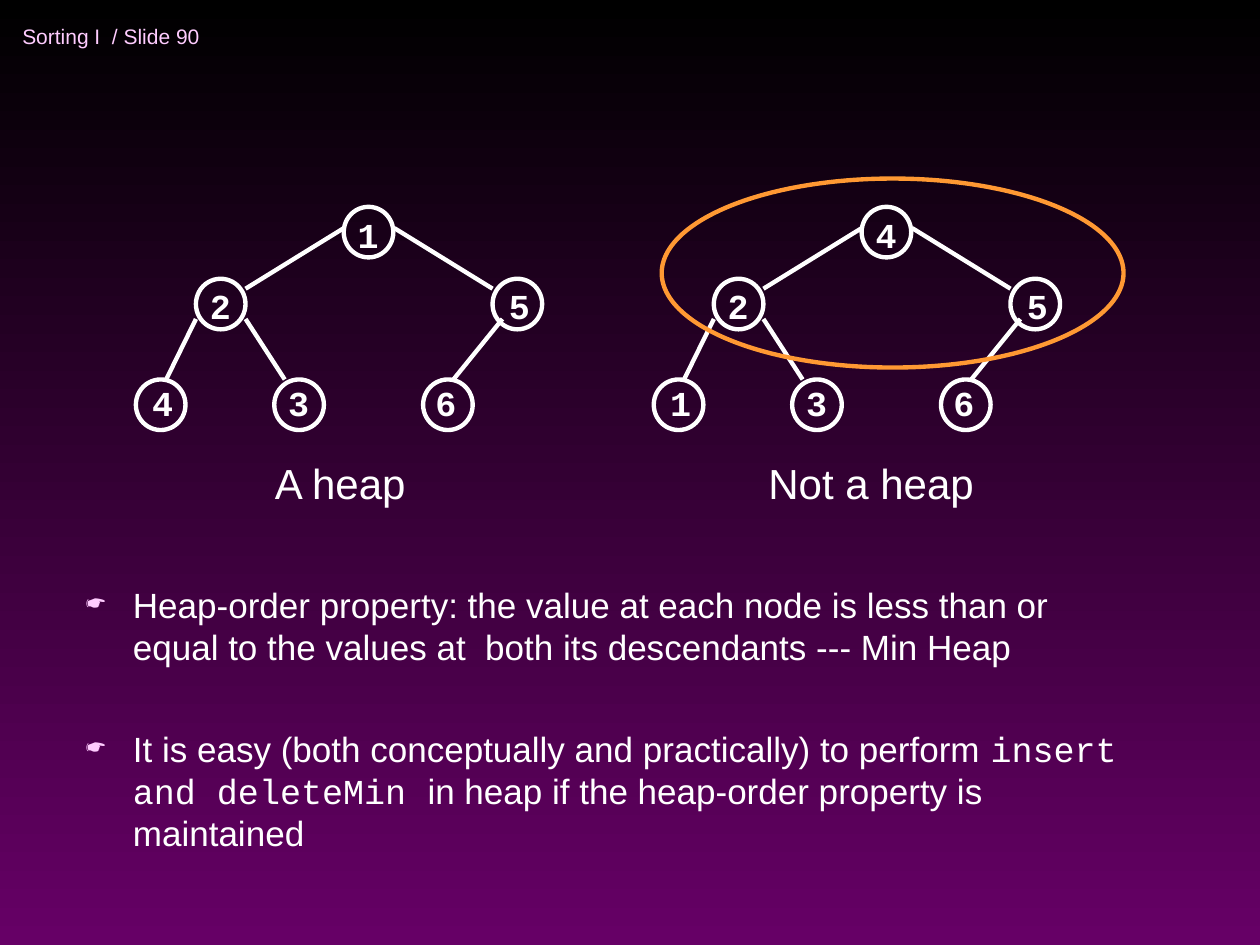
from dataclasses import dataclass

from lxml.etree import SubElement
from pptx import Presentation
from pptx.dml.color import RGBColor
from pptx.enum.shapes import MSO_CONNECTOR as Link, MSO_SHAPE as Shape
from pptx.enum.text import MSO_ANCHOR as Anchor, MSO_AUTO_SIZE as AutoSize
from pptx.oxml.ns import qn
from pptx.util import Cm, Pt

COLORS = {
    "white": "FFFFFF",
    "pink": "FFCCFF",
    "orange": "FF9933",
    "top": "000000",
    "bottom": "660066",
}
SANS = "Arial"
MONO = "Courier New"
NODE_WIDTH, NODE_HEIGHT = 1.0, 1.02
LINE_WIDTH = Pt(2.5)


@dataclass(frozen=True)
class Node:
    x: float
    y: float
    label_dx: float
    label_dy: float


@dataclass(frozen=True)
class Edge:
    x1: float
    y1: float
    x2: float
    y2: float


@dataclass(frozen=True)
class Tree:
    left: float
    values: str
    caption: str
    caption_left: float
    caption_width: float


@dataclass(frozen=True)
class Span:
    text: str
    font: str = SANS


TREE_TOP = 4.17
NODES = [
    Node(4.19, 0, 0.03, 0),
    Node(1.21, 1.45, 0.03, 0),
    Node(7.19, 1.45, 0.08, 0),
    Node(0, 3.48, 0.08, -0.08),
    Node(2.79, 3.48, 0.03, -0.08),
    Node(5.79, 3.48, 0, -0.08),
]
EDGES = [
    Edge(4.19, 0.43, 2.21, 1.65),
    Edge(5.21, 0.43, 7.19, 1.65),
    Edge(1.21, 2.26, 0.61, 3.48),
    Edge(2.21, 2.26, 3.0, 3.48),
    Edge(7.39, 2.26, 6.4, 3.48),
]
TREES = [
    Tree(2.74, "125436", "A heap", 5.29, 3.39),
    Tree(13.18, "425136", "Not a heap", 15.24, 5.5),
]
BULLETS = [
    [Span("Heap-order property: the value at each node is less than or equal "
          "to the values at  both its descendants --- Min Heap")],
    [
        Span("It is easy (both conceptually and practically) to perform "),
        Span("insert and deleteMin ", MONO),
        Span("in heap if the heap-order property is maintained"),
    ],
]


def rgb(name: str) -> RGBColor:
    return RGBColor.from_string(COLORS[name])


def add_box(page, left: float, top: float, width: float, height: float):
    box = page.shapes.add_textbox(Cm(left), Cm(top), Cm(width), Cm(height))
    box.text_frame.word_wrap = True
    return box.text_frame


def add_span(para, span: Span, size: float, color: str = "white", bold: bool = False) -> None:
    run = para.add_run()
    run.text = span.text
    run.font.name = span.font
    run.font.size = Pt(size)
    run.font.bold = bold
    run.font.color.rgb = rgb(color)


def add_ring(page, left: float, top: float, width: float, height: float, color: str) -> None:
    ring = page.shapes.add_shape(Shape.OVAL, Cm(left), Cm(top), Cm(width), Cm(height))
    ring.shadow.inherit = False
    ring.fill.background()
    ring.line.color.rgb = rgb(color)
    ring.line.width = LINE_WIDTH


def add_edge(page, left: float, edge: Edge) -> None:
    line = page.shapes.add_connector(
        Link.STRAIGHT,
        Cm(left + edge.x1), Cm(TREE_TOP + edge.y1),
        Cm(left + edge.x2), Cm(TREE_TOP + edge.y2),
    )
    line.line.color.rgb = rgb("white")
    line.line.width = LINE_WIDTH
    SubElement(line._element.spPr, qn("a:effectLst"))


def add_label(page, left: float, node: Node, value: str) -> None:
    frame = add_box(page, left + node.x + node.label_dx,
                    TREE_TOP + node.y + node.label_dy, 0.93, 1.11)
    frame.word_wrap = False
    frame.auto_size = AutoSize.SHAPE_TO_FIT_TEXT
    add_span(frame.paragraphs[0], Span(value, MONO), 20, bold=True)


def add_tree(page, tree: Tree) -> None:
    caption = add_box(page, tree.caption_left, 9.1, tree.caption_width, 1.28)
    add_span(caption.paragraphs[0], Span(tree.caption), 24)
    for node in NODES:
        add_ring(page, tree.left + node.x, TREE_TOP + node.y,
                 NODE_WIDTH, NODE_HEIGHT, "white")
    for edge in EDGES:
        add_edge(page, tree.left, edge)
    for node, value in zip(NODES, tree.values):
        add_label(page, tree.left, node, value)


def set_bullet(para) -> None:
    props = para._p.get_or_add_pPr()
    props.set("marL", str(Cm(0.95)))
    props.set("indent", str(-Cm(0.95)))
    color = SubElement(props, qn("a:buClr"))
    SubElement(color, qn("a:srgbClr")).set("val", COLORS["pink"])
    SubElement(props, qn("a:buSzPct")).set("val", "75000")
    SubElement(props, qn("a:buChar")).set("char", "☛")


def add_bullets(page) -> None:
    frame = add_box(page, 1.48, 11.64, 21.8, 7.82)
    for index, spans in enumerate(BULLETS):
        para = frame.add_paragraph() if index else frame.paragraphs[0]
        set_bullet(para)
        if index:
            para.space_before = Pt(34)
        for span in spans:
            add_span(para, span, 20)


def set_background(page) -> None:
    fill = page.background.fill
    fill.gradient()
    fill.gradient_angle = 270
    for stop, position, name in zip(fill.gradient_stops, (0, 1), ("top", "bottom")):
        stop.position = position
        stop.color.rgb = rgb(name)


def main() -> None:
    deck = Presentation()
    deck.slide_width, deck.slide_height = Cm(25.4), Cm(19.05)
    page = deck.slides.add_slide(deck.slide_layouts[6])
    set_background(page)
    header = add_box(page, 0.2, 0.2, 7, 1.07)
    header.vertical_anchor = Anchor.MIDDLE
    add_span(header.paragraphs[0], Span("Sorting I  / Slide 90"), 12, "pink")
    add_bullets(page)
    for tree in TREES:
        add_tree(page, tree)
    add_ring(page, 13.34, 3.6, 9.31, 3.81, "orange")
    deck.save("out.pptx")


if __name__ == "__main__":
    main()
